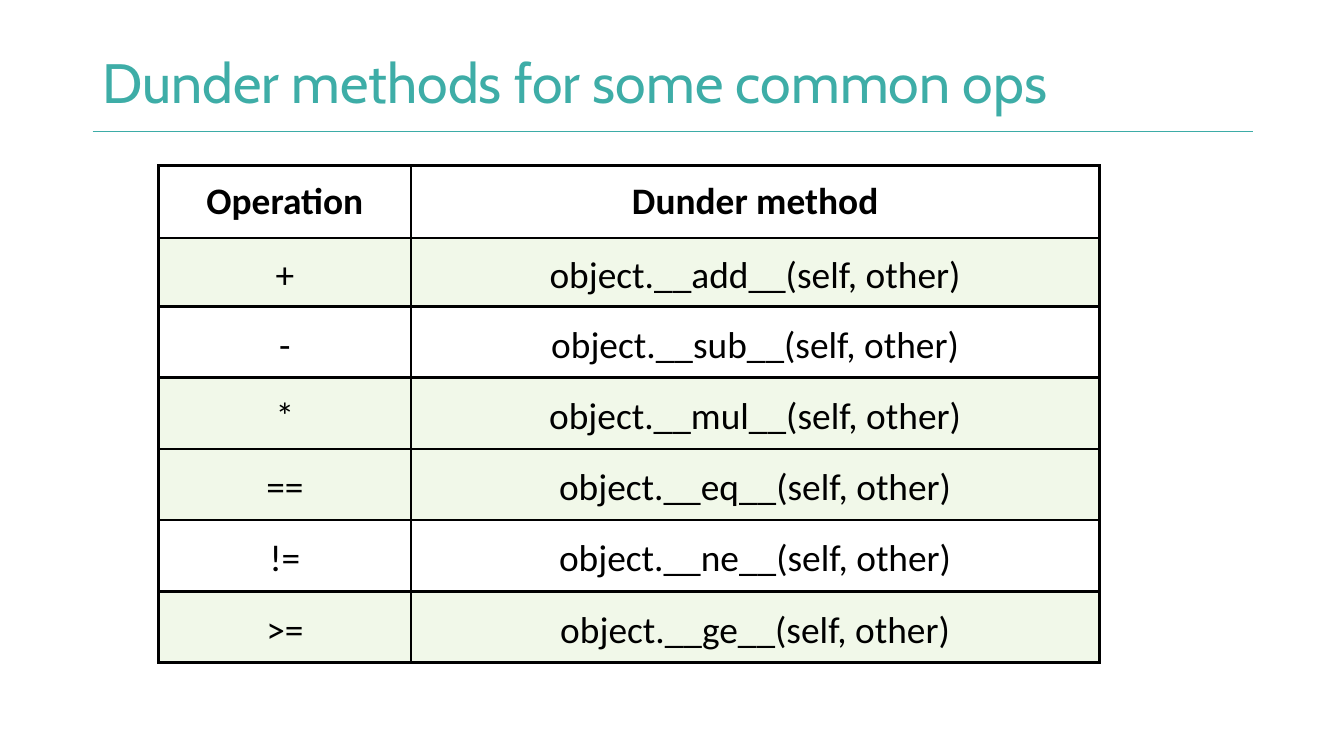
from lxml.etree import SubElement
from pptx import Presentation
from pptx.dml.color import RGBColor
from pptx.enum.shapes import MSO_CONNECTOR
from pptx.enum.text import MSO_ANCHOR, MSO_AUTO_SIZE, PP_ALIGN
from pptx.oxml.ns import qn
from pptx.util import Inches, Pt

TITLE_TEAL = RGBColor(0x3E, 0xAD, 0xA7)
RULE_TEAL = RGBColor(0x3D, 0xAC, 0xA7)
BLACK = RGBColor(0, 0, 0)
PALE_GREEN = RGBColor(0xF1, 0xF8, 0xE9)

OPERATIONS = [
    ("+", "add", True),
    ("-", "sub", False),
    ("*", "mul", True),
    ("==", "eq", True),
    ("!=", "ne", False),
    (">=", "ge", True),
]
COLUMN_WIDTHS = [1.88, 5.12]
ROW_HEIGHTS = [0.54, 0.51] + [0.53] * 5


def write_text(frame, text, *, font, size, color, bold=False,
               align=PP_ALIGN.LEFT, line_spacing=1.0, space_before=0):
    """Write one formatted paragraph into a text frame."""
    paragraph = frame.paragraphs[0]
    paragraph.alignment = align
    paragraph.line_spacing = line_spacing
    paragraph.space_before = Pt(space_before)
    run = paragraph.add_run()
    run.text = text
    run.font.name = font
    run.font.size = Pt(size)
    run.font.bold = bold
    run.font.color.rgb = color


def add_title(slide, text):
    """Place and fill the title placeholder."""
    title = slide.shapes.title
    title.left, title.top = Inches(0.69), Inches(0.3)
    title.width, title.height = Inches(7.75), Inches(0.68)
    frame = title.text_frame
    frame.word_wrap = True
    frame.auto_size = MSO_AUTO_SIZE.NONE
    frame.vertical_anchor = MSO_ANCHOR.MIDDLE
    frame.margin_left = frame.margin_right = Inches(0.07)
    frame.margin_top = frame.margin_bottom = Inches(0.04)
    write_text(frame, text, font="Cabin", size=29.7, color=TITLE_TEAL,
               line_spacing=0.9)


def add_rule(slide):
    """Draw the thin line under the title."""
    rule = slide.shapes.add_connector(
        MSO_CONNECTOR.STRAIGHT, Inches(0.69), Inches(0.98), Inches(9.32), Inches(0.98))
    rule.line.color.rgb = RULE_TEAL
    rule.line.width = Pt(0.75)
    SubElement(rule._element.spPr, qn("a:effectLst"))


def add_borders(cell, color, width):
    """Draw all four borders of a table cell."""
    properties = cell._tc.get_or_add_tcPr()
    for side in ("lnL", "lnR", "lnT", "lnB"):
        line = SubElement(properties, qn(f"a:{side}"), w=str(Pt(width)))
        fill = SubElement(line, qn("a:solidFill"))
        SubElement(fill, qn("a:srgbClr"), val=str(color))


def fill_cell(cell, text, *, margin, shaded=False, **text_format):
    """Format one table cell and write its text."""
    add_borders(cell, BLACK, 1.5)
    if shaded:
        cell.fill.solid()
        cell.fill.fore_color.rgb = PALE_GREEN
    else:
        cell.fill.background()
    cell.vertical_anchor = MSO_ANCHOR.MIDDLE
    cell.margin_left = cell.margin_right = Inches(margin)
    cell.margin_top = cell.margin_bottom = Inches(margin)
    write_text(cell.text_frame, text, font="Calibri", size=20, color=BLACK,
               align=PP_ALIGN.CENTER, **text_format)


def add_operations_table(slide):
    """Build the table of operations and their methods."""
    table = slide.shapes.add_table(
        len(ROW_HEIGHTS), len(COLUMN_WIDTHS), Inches(1.18), Inches(1.23),
        Inches(sum(COLUMN_WIDTHS)), Inches(sum(ROW_HEIGHTS))).table
    table.first_row = False
    table.horz_banding = False
    for column, width in zip(table.columns, COLUMN_WIDTHS):
        column.width = Inches(width)
    for row, height in zip(table.rows, ROW_HEIGHTS):
        row.height = Inches(height)
    for index, heading in enumerate(("Operation", "Dunder method")):
        fill_cell(table.cell(0, index), heading, margin=0.1, bold=True)
    for row_index, (operator, name, shaded) in enumerate(OPERATIONS, start=1):
        for index, text in enumerate((operator, f"object.__{name}__(self, other)")):
            fill_cell(table.cell(row_index, index), text, margin=0.05,
                      shaded=shaded, line_spacing=1.15, space_before=17)


def main():
    """Build and save the presentation."""
    presentation = Presentation()
    presentation.slide_width = Inches(10)
    presentation.slide_height = Inches(10 * 9 / 16)
    slide = presentation.slides.add_slide(presentation.slide_layouts[5])
    add_rule(slide)
    add_title(slide, "Dunder methods for some common ops")
    add_operations_table(slide)
    presentation.save("out.pptx")


if __name__ == "__main__":
    main()
